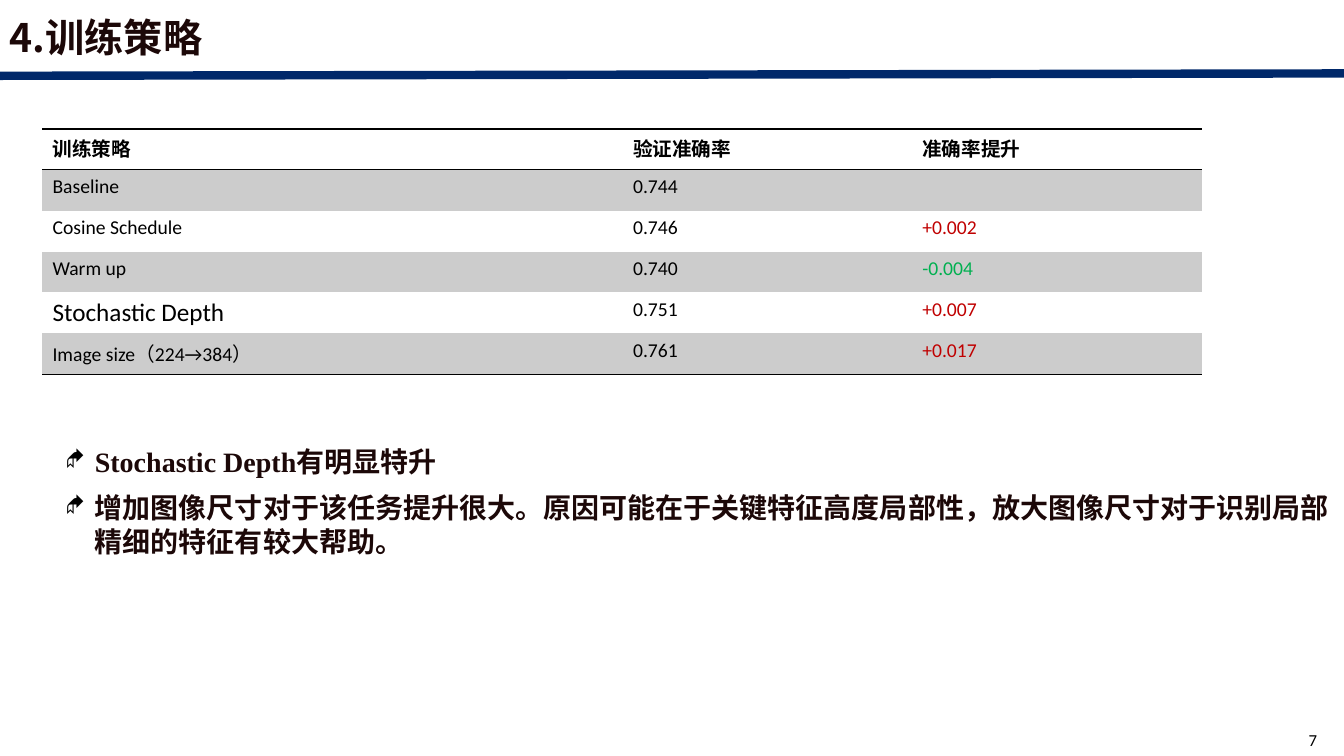
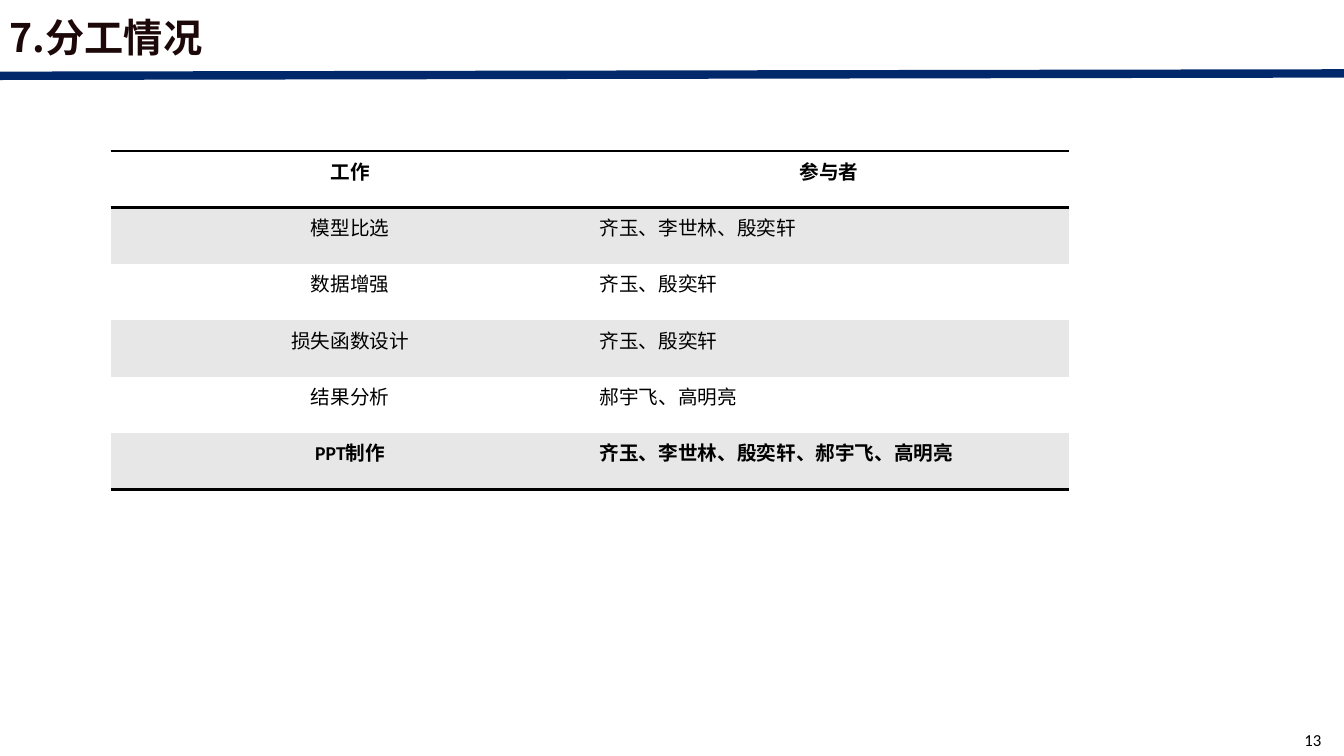
from lxml import etree
from pptx import Presentation
from pptx import util as u
from pptx.dml import color
from pptx.enum import shapes, text
from pptx.oxml import ns

BLACK, NAVY, TITLE = "000000", "00286A", "1C0808"
RED, GREEN = "C00000", "00B050"
SANS, SERIF, LATIN = "Noto Sans CJK SC", "Times New Roman", "Calibri"
PLAIN = "{2D5ABB26-0587-4C30-8999-92F81FD0307C}"
LEFT, MID = text.PP_ALIGN.LEFT, text.PP_ALIGN.CENTER


def hue(code):
    return color.RGBColor.from_string(code)


def write(par, words, tone, **form):
    run = par.add_run()
    run.text = words
    for key, val in form.items():
        setattr(run.font, key, val)
    run.font.color.rgb = hue(tone)
    east = etree.SubElement(run.font._element, ns.qn("a:ea"))
    east.set("typeface", SANS)


pages = [
    {
        "title": "4.训练策略",
        "number": "7",
        "left": 1.07, "top": 3.25, "cols": [14.63, 7.29, 7.29], "row": 1.03,
        "band": "CCCCCC", "rule": 1, "align": [LEFT, LEFT, LEFT],
        "head": [LEFT, LEFT, LEFT], "strong": [0],
        "rows": [
            ["训练策略", "验证准确率", "准确率提升"],
            ["Baseline", "0.744", ""],
            ["Cosine Schedule", "0.746", "+0.002"],
            ["Warm up", "0.740", "-0.004"],
            ["Stochastic Depth", "0.751", "+0.007"],
            ["Image size（224→384）", "0.761", "+0.017"],
        ],
        "large": "Stochastic Depth",
        "points": [
            "Stochastic Depth有明显特升",
            "增加图像尺寸对于该任务提升很大。原因可能在于关键特征高度局部性，"
            "放大图像尺寸对于识别局部精细的特征有较大帮助。",
        ],
    },
    {
        "title": "7.分工情况",
        "number": "13",
        "left": 2.79, "top": 3.81, "cols": [12.07, 12.07], "row": 1.42,
        "band": "E7E7E7", "rule": 2, "align": [MID, LEFT],
        "head": [MID, MID], "strong": [0, 5],
        "rows": [
            ["工作", "参与者"],
            ["模型比选", "齐玉、李世林、殷奕轩"],
            ["数据增强", "齐玉、殷奕轩"],
            ["损失函数设计", "齐玉、殷奕轩"],
            ["结果分析", "郝宇飞、高明亮"],
            ["PPT制作", "齐玉、李世林、殷奕轩、郝宇飞、高明亮"],
        ],
        "large": None,
        "points": [],
    },
]

deck = Presentation()
deck.slide_width, deck.slide_height = u.Cm(33.87), u.Cm(19.05)

for page in pages:
    slide = deck.slides.add_slide(deck.slide_layouts[6])

    line = slide.shapes.add_connector(
        shapes.MSO_CONNECTOR.STRAIGHT, 0, u.Cm(1.91), deck.slide_width, u.Cm(1.85))
    line.line.color.rgb = hue(NAVY)
    line.line.width = u.Pt(6)
    etree.SubElement(line._element.spPr, ns.qn("a:effectLst"))

    title = slide.shapes.add_textbox(0, u.Cm(0.13), deck.slide_width, u.Cm(1.6)).text_frame
    title.word_wrap = True
    title.vertical_anchor = text.MSO_ANCHOR.MIDDLE
    write(title.paragraphs[0], page["title"], TITLE, name=SANS, size=u.Pt(28), bold=True)

    number = slide.shapes.add_textbox(u.Cm(32.41), u.Cm(18.34), u.Cm(1.35), u.Cm(0.61)).text_frame
    for side in ("left", "top", "right", "bottom"):
        setattr(number, "margin_" + side, u.Cm(0.1))
    number.vertical_anchor = text.MSO_ANCHOR.MIDDLE
    number.paragraphs[0].alignment = MID
    write(number.paragraphs[0], page["number"], BLACK, name=LATIN, size=u.Pt(12))

    rows, cols = page["rows"], page["cols"]
    grid = slide.shapes.add_table(
        len(rows), len(cols), u.Cm(page["left"]), u.Cm(page["top"]),
        u.Cm(sum(cols)), u.Cm(page["row"] * len(rows))).table
    grid._tbl.tblPr[0].text = PLAIN
    for col, width in zip(grid.columns, cols):
        col.width = u.Cm(width)

    for r, row in enumerate(rows):
        grid.rows[r].height = u.Cm(page["row"])
        edges = {0: ["lnT", "lnB"], len(rows) - 1: ["lnB"]}.get(r, [])
        for c, words in enumerate(row):
            cell = grid.cell(r, c)
            for edge in edges:
                side = etree.SubElement(cell._tc.get_or_add_tcPr(), ns.qn("a:" + edge))
                side.set("w", str(u.Pt(page["rule"])))
                fill = etree.SubElement(side, ns.qn("a:solidFill"))
                etree.SubElement(fill, ns.qn("a:srgbClr")).set("val", BLACK)
            cell.fill.solid()
            cell.fill.fore_color.rgb = hue(page["band"] if r % 2 else "FFFFFF")
            par = cell.text_frame.paragraphs[0]
            par.alignment = page["align" if r else "head"][c]
            if words:
                tone = {"+": RED, "-": GREEN}.get(words[0], BLACK)
                size = 18 if words == page["large"] else 14
                write(par, words, tone, name=LATIN, size=u.Pt(size), bold=r in page["strong"])

    if page["points"]:
        body = slide.shapes.add_textbox(0, u.Cm(11), deck.slide_width, u.Cm(7.3)).text_frame
        form = {"word_wrap": True, "margin_left": u.Cm(0.41), "margin_right": 0,
                "margin_top": u.Cm(0.2), "margin_bottom": u.Cm(0.2)}
        for key, val in form.items():
            setattr(body, key, val)
    for n, point in enumerate(page["points"]):
        par = body.add_paragraph() if n else body.paragraphs[0]
        form = {"space_before": u.Pt(4), "space_after": u.Pt(4), "line_spacing": u.Pt(24.3)}
        for key, val in form.items():
            setattr(par, key, val)
        props = par._p.get_or_add_pPr()
        props.set("marL", str(u.Cm(1.98)))
        props.set("indent", str(u.Cm(-0.74)))
        tint = etree.SubElement(props, ns.qn("a:buClr"))
        etree.SubElement(tint, ns.qn("a:srgbClr")).set("val", BLACK)
        for tag, key, val in (("buSzPct", "val", "80000"),
                              ("buFont", "typeface", "Wingdings"),
                              ("buChar", "char", "◆")):
            etree.SubElement(props, ns.qn("a:" + tag)).set(key, val)
        write(par, point, TITLE, name=SERIF, size=u.Pt(20), bold=True)

deck.save("out.pptx")
